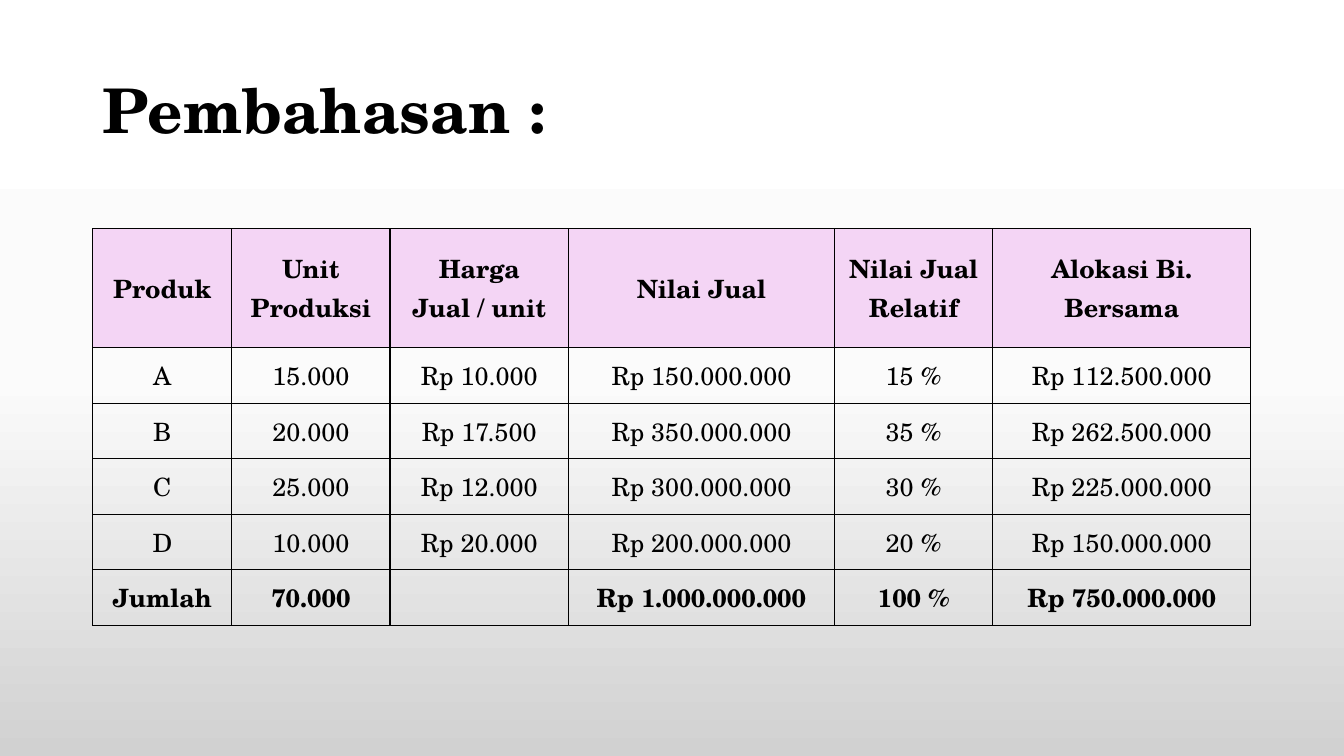
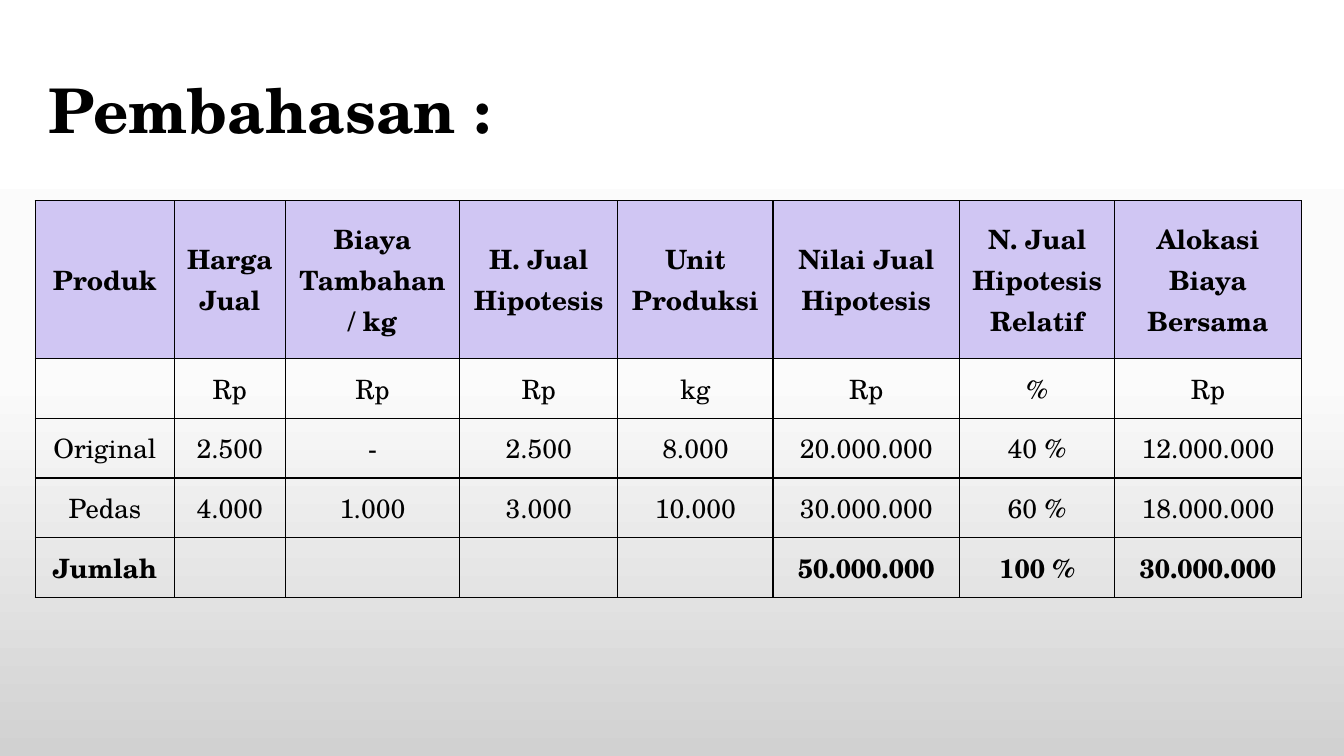
from copy import deepcopy

from lxml.etree import SubElement
from pptx import Presentation
from pptx.dml.color import RGBColor
from pptx.enum.text import MSO_ANCHOR, MSO_AUTO_SIZE, PP_ALIGN
from pptx.oxml.ns import qn
from pptx.util import Emu, Inches, Pt

GRID_COLUMNS, GRID_ROWS = 160, 90


def colour(code):
    return RGBColor.from_string(code)


class SlideBuilder:
    font = "TeX Gyre Schola"
    ink = "000000"
    title_size = 44
    border_width = 1
    backdrop = ((0, "FFFFFF"), (0.5, "FBFBFB"), (1, "D1D1D1"))

    def __init__(self):
        self.deck = Presentation()
        self.deck.slide_width = Inches(40 / 3)
        self.deck.slide_height = Inches(7.5)
        self.page = None
        self.paint_backdrop()

    def across(self, columns):
        return Emu(round(self.deck.slide_width * columns / GRID_COLUMNS))

    def down(self, rows):
        return Emu(round(self.deck.slide_height * rows / GRID_ROWS))

    def paint_backdrop(self):
        master = self.deck.slide_master
        fill = master.background.fill
        fill.gradient()
        fill.gradient_angle = 270
        first_stop = next(master.element.iter(qn("a:gs")))
        first_stop.addnext(deepcopy(first_stop))
        for stop, (position, code) in zip(fill.gradient_stops, self.backdrop):
            stop.position = position
            stop.color.rgb = colour(code)

    def add_page(self):
        self.page = self.deck.slides.add_slide(self.deck.slide_layouts[5])

    def add_span(self, para, text, size, bold):
        span = para.add_run()
        span.text = text
        span.font.name = self.font
        span.font.size = Pt(size)
        span.font.bold = bold
        span.font.color.rgb = colour(self.ink)

    def title(self, text, left):
        box = self.page.shapes.title
        box.left, box.top = self.across(left), self.down(4.8)
        box.width, box.height = self.across(138), self.down(17.4)
        frame = box.text_frame
        frame.word_wrap = True
        frame.auto_size = MSO_AUTO_SIZE.NONE
        frame.vertical_anchor = MSO_ANCHOR.MIDDLE
        para = frame.paragraphs[0]
        para.alignment = PP_ALIGN.LEFT
        para.line_spacing = 0.9
        self.add_span(para, text, self.title_size, True)

    def outline(self, cell):
        properties = cell._tc.get_or_add_tcPr()
        for index, side in enumerate(("lnL", "lnR", "lnT", "lnB")):
            line = SubElement(properties, qn(f"a:{side}"), w=str(Pt(self.border_width)))
            paint = SubElement(line, qn("a:solidFill"))
            SubElement(paint, qn("a:srgbClr"), val=self.ink)
            properties.insert(index, line)

    def table(self, left, top, widths, heading_height, row_height, rows, size, heading_fill):
        heights = [heading_height] + [row_height] * (len(rows) - 1)
        table = self.page.shapes.add_table(
            len(rows), len(widths), self.across(left), self.down(top),
            self.across(sum(widths)), self.down(sum(heights))).table
        table.first_row = table.horz_banding = False
        for column, width in zip(table.columns, widths):
            column.width = self.across(width)
        for row, height in zip(table.rows, heights):
            row.height = self.down(height)
        for row_index, texts in enumerate(rows):
            heading = row_index == 0
            total = row_index == len(rows) - 1
            for column_index, text in enumerate(texts):
                cell = table.cell(row_index, column_index)
                cell.vertical_anchor = MSO_ANCHOR.MIDDLE
                if heading:
                    cell.fill.solid()
                    cell.fill.fore_color.rgb = colour(heading_fill)
                else:
                    cell.fill.background()
                self.outline(cell)
                if text:
                    para = cell.text_frame.paragraphs[0]
                    para.alignment = PP_ALIGN.CENTER
                    self.add_span(para, text, size, heading or total)


def joint_cost_page(builder):
    builder.add_page()
    builder.title("Pembahasan :", 11.04)
    rows = (
        ("Produk", "Unit Produksi", "Harga Jual / unit", "Nilai Jual",
         "Nilai Jual Relatif", "Alokasi Bi. Bersama"),
        ("A", "15.000", "Rp 10.000", "Rp 150.000.000", "15 %", "Rp 112.500.000"),
        ("B", "20.000", "Rp 17.500", "Rp 350.000.000", "35 %", "Rp 262.500.000"),
        ("C", "25.000", "Rp 12.000", "Rp 300.000.000", "30 %", "Rp 225.000.000"),
        ("D", "10.000", "Rp 20.000", "Rp 200.000.000", "20 %", "Rp 150.000.000"),
        ("Jumlah", "70.000", "", "Rp 1.000.000.000", "100 %", "Rp 750.000.000"),
    )
    builder.table(11.04, 27.24, (16.56, 18.84, 21.24, 31.68, 18.84, 30.72),
                  14.16, 6.61, rows, 18, "F4D5F5")


def hypothetical_value_page(builder):
    builder.add_page()
    builder.title("Pembahasan :", 4.56)
    rows = (
        ("Produk", "Harga Jual", "Biaya Tambahan / kg", "H. Jual Hipotesis",
         "Unit Produksi", "Nilai Jual Hipotesis", "N. Jual Hipotesis Relatif",
         "Alokasi Biaya Bersama"),
        ("", "Rp", "Rp", "Rp", "kg", "Rp", "%", "Rp"),
        ("Original", "2.500", "-", "2.500", "8.000", "20.000.000", "40 %", "12.000.000"),
        ("Pedas", "4.000", "1.000", "3.000", "10.000", "30.000.000", "60 %", "18.000.000"),
        ("Jumlah", "", "", "", "", "50.000.000", "100 %", "30.000.000"),
    )
    builder.table(4.2, 23.88, (16.56, 13.2, 20.76, 18.84, 18.48, 22.2, 18.48, 22.2),
                  18.84, 7.1, rows, 19, "D0C6F3")


def main():
    builder = SlideBuilder()
    joint_cost_page(builder)
    hypothetical_value_page(builder)
    builder.deck.save("out.pptx")


if __name__ == "__main__":
    main()
